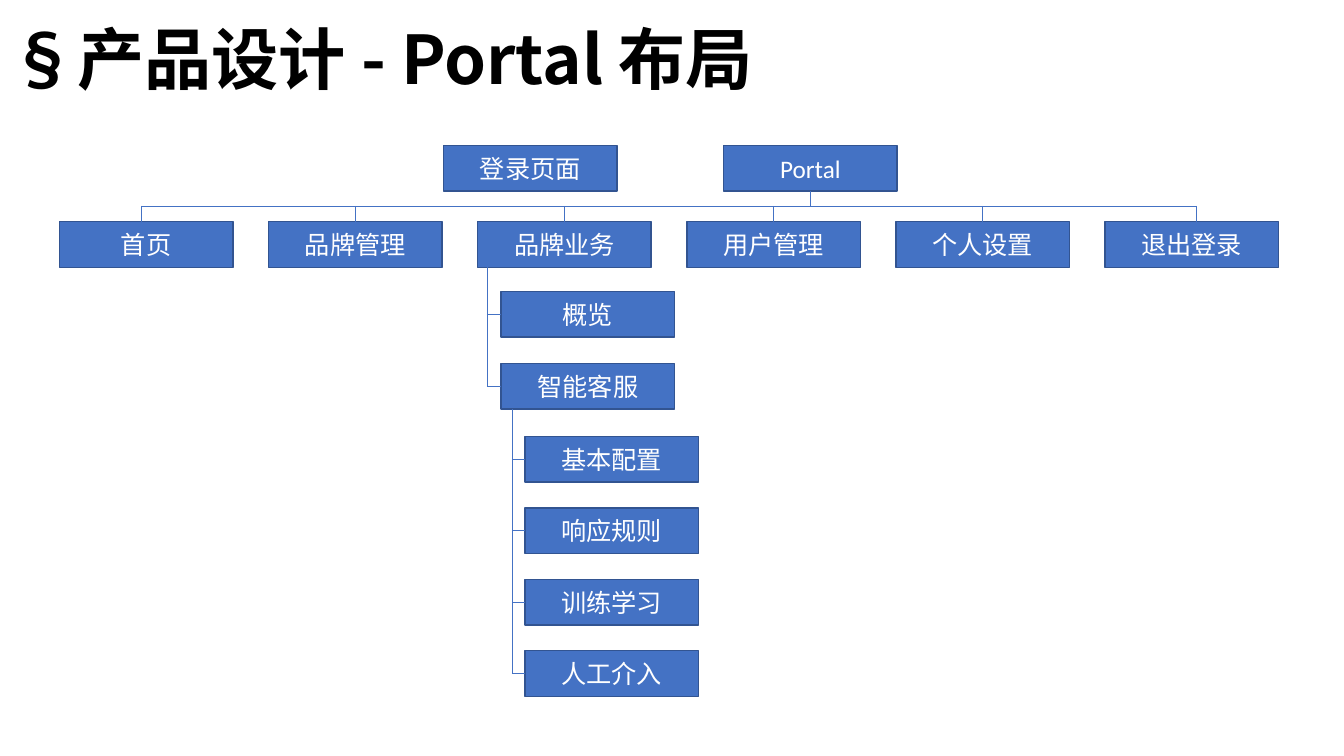
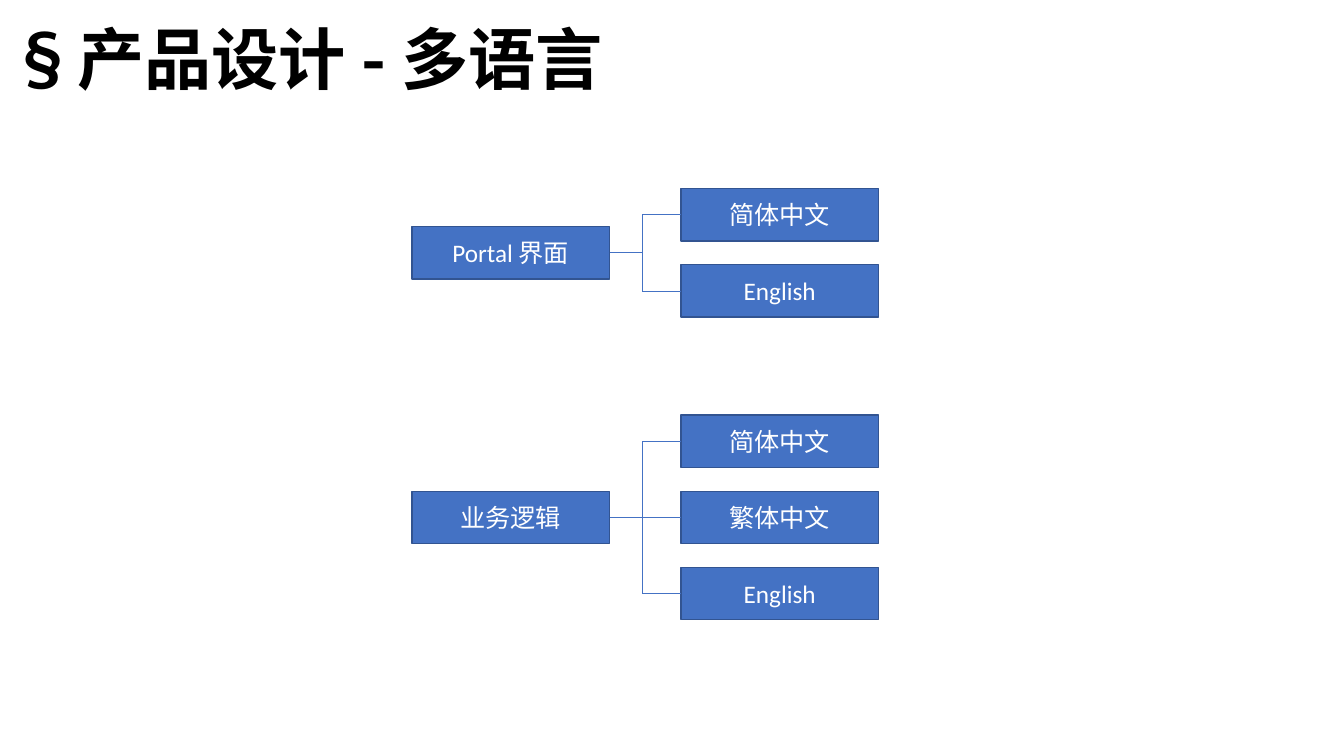
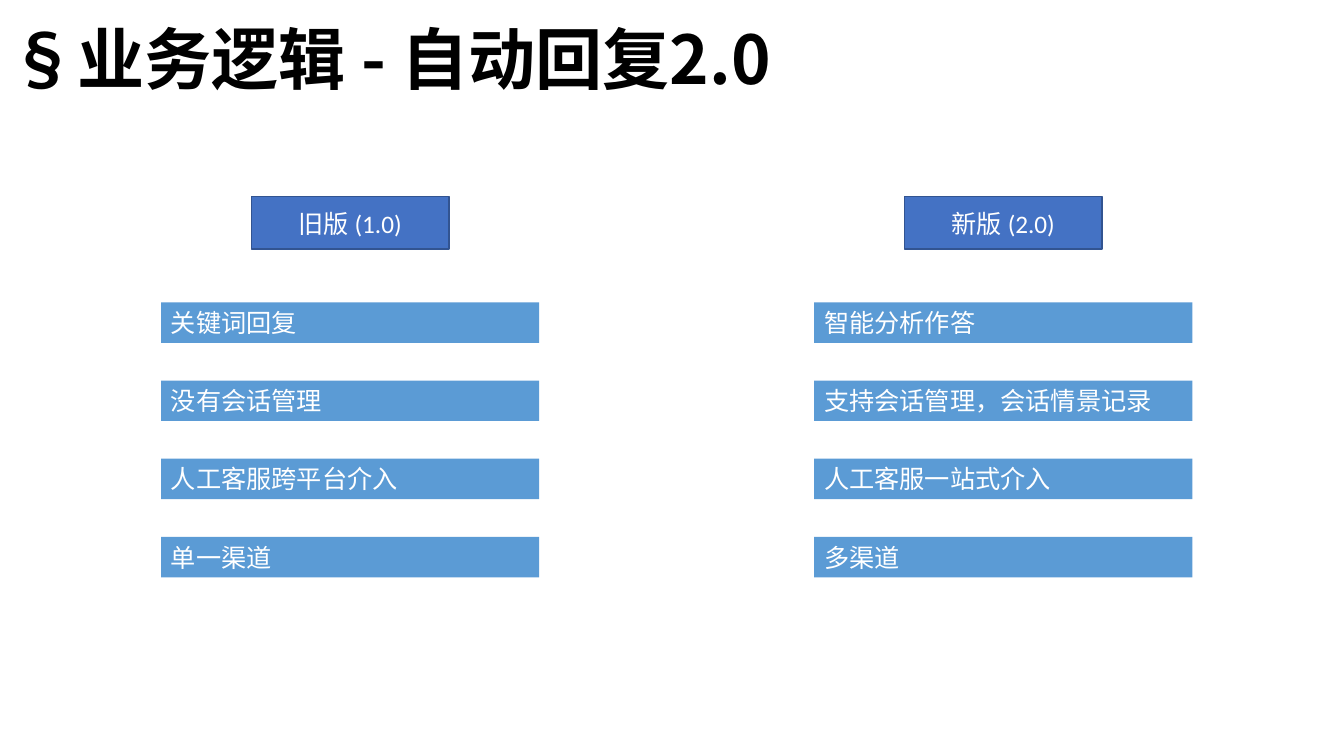
from dataclasses import dataclass

from lxml.etree import SubElement
from pptx import Presentation
from pptx.dml.color import RGBColor
from pptx.enum.shapes import MSO_CONNECTOR, MSO_SHAPE
from pptx.enum.text import MSO_ANCHOR, PP_ALIGN
from pptx.oxml.ns import qn
from pptx.slide import Slide
from pptx.text.text import TextFrame
from pptx.util import Cm, Pt

COLORS = {
    "title": "000000",
    "node": "4472C4",
    "border": "325491",
    "bar": "5B9BD5",
    "text": "FFFFFF",
}
TITLE_FONT = "Noto Sans CJK SC"
BODY_FONT = "Calibri"


@dataclass(frozen=True)
class Size:
    width: float
    height: float


@dataclass(frozen=True)
class Box:
    """A labelled rectangle, measured in centimetres."""
    text: str
    left: float
    top: float
    size: Size

    @property
    def right(self) -> float:
        return self.left + self.size.width

    @property
    def bottom(self) -> float:
        return self.top + self.size.height

    @property
    def center(self) -> float:
        return self.left + self.size.width / 2

    @property
    def middle(self) -> float:
        return self.top + self.size.height / 2


@dataclass(frozen=True)
class LanguageGroup:
    parent: str
    languages: tuple[str, ...]
    top: float


@dataclass(frozen=True)
class Version:
    name: str
    left: float
    features: tuple[str, ...]


PAGE_NODE = Size(4.37, 1.15)
LARGE_NODE = Size(4.98, 1.32)
FEATURE_BAR = Size(9.53, 1.02)

MENU = ("首页", "品牌管理", "品牌业务", "用户管理", "个人设置", "退出登录")
BUSINESS_PAGES = ("概览", "智能客服")
SERVICE_PAGES = ("基本配置", "响应规则", "训练学习", "人工介入")
LANGUAGE_GROUPS = (
    LanguageGroup("Portal 界面", ("简体中文", "English"), 4.75),
    LanguageGroup("业务逻辑", ("简体中文", "繁体中文", "English"), 10.46),
)
VERSIONS = (
    Version("旧版 (1.0)", 4.06,
            ("关键词回复", "没有会话管理", "人工客服跨平台介入", "单一渠道")),
    Version("新版 (2.0)", 20.52,
            ("智能分析作答", "支持会话管理，会话情景记录", "人工客服一站式介入", "多渠道")),
)


def color(name: str) -> RGBColor:
    return RGBColor.from_string(COLORS[name])


def write(frame: TextFrame, text: str, font_name: str, points: float,
          color_name: str, alignment: PP_ALIGN, bold: bool = False) -> None:
    frame.word_wrap = True
    paragraph = frame.paragraphs[0]
    paragraph.alignment = alignment
    run = paragraph.add_run()
    run.text = text
    run.font.size = Pt(points)
    run.font.bold = bold
    run.font.color.rgb = color(color_name)
    run.font.name = font_name
    SubElement(run.font._element, qn("a:ea"), typeface=font_name)


def add_titled_slide(presentation, title: str) -> Slide:
    slide = presentation.slides.add_slide(presentation.slide_layouts[6])
    title_box = slide.shapes.add_textbox(Cm(0), Cm(0.3), Cm(27.76), Cm(2.31))
    write(title_box.text_frame, title, TITLE_FONT, 48, "title", PP_ALIGN.LEFT, bold=True)
    return slide


def add_rectangle(slide: Slide, box: Box, fill_name: str):
    shape = slide.shapes.add_shape(
        MSO_SHAPE.RECTANGLE, Cm(box.left), Cm(box.top),
        Cm(box.size.width), Cm(box.size.height))
    shape.shadow.inherit = False
    shape.fill.solid()
    shape.fill.fore_color.rgb = color(fill_name)
    return shape


def add_node(slide: Slide, box: Box) -> None:
    shape = add_rectangle(slide, box, "node")
    shape.line.color.rgb = color("border")
    shape.line.width = Pt(1)
    shape.text_frame.vertical_anchor = MSO_ANCHOR.MIDDLE
    write(shape.text_frame, box.text, BODY_FONT, 18, "text", PP_ALIGN.CENTER)


def add_bar(slide: Slide, box: Box) -> None:
    shape = add_rectangle(slide, box, "bar")
    shape.line.fill.background()
    shape.text_frame.vertical_anchor = MSO_ANCHOR.TOP
    write(shape.text_frame, box.text, BODY_FONT, 18, "text", PP_ALIGN.LEFT)


def add_line(slide: Slide, x1: float, y1: float, x2: float, y2: float) -> None:
    line = slide.shapes.add_connector(
        MSO_CONNECTOR.STRAIGHT, Cm(x1), Cm(y1), Cm(x2), Cm(y2))
    line.line.color.rgb = color("node")
    line.line.width = Pt(0.5)
    SubElement(line._element.spPr, qn("a:effectLst"))


def stack(texts: tuple[str, ...], left: float, top: float, step: float,
          size: Size) -> list[Box]:
    """Place boxes below one another at an equal step."""
    return [Box(text, left, top + index * step, size) for index, text in enumerate(texts)]


def add_branch(slide: Slide, spine: float, start: float, children: list[Box]) -> None:
    """Draw child nodes and the vertical spine that joins them."""
    add_line(slide, spine, start, spine, children[-1].middle)
    for child in children:
        add_node(slide, child)
        add_line(slide, spine, child.middle, child.left, child.middle)


def build_layout_slide(presentation) -> None:
    slide = add_titled_slide(presentation, "§产品设计 - Portal 布局")
    login = Box("登录页面", 11.18, 3.66, PAGE_NODE)
    portal = Box("Portal", 18.24, 3.66, PAGE_NODE)
    menu = [Box(text, 1.5 + index * 5.27, 5.59, PAGE_NODE)
            for index, text in enumerate(MENU)]
    for box in (login, portal, *menu):
        add_node(slide, box)

    rail = 5.19
    drops = [3.56, *(box.center for box in menu[1:-1]), 30.15]
    add_line(slide, drops[0], rail, drops[-1], rail)
    add_line(slide, portal.center, portal.bottom, portal.center, rail)
    for drop in drops:
        add_line(slide, drop, rail, drop, menu[0].top)

    business_pages = stack(BUSINESS_PAGES, 12.63, 7.34, 1.82, PAGE_NODE)
    service_pages = stack(SERVICE_PAGES, 13.23, 11, 1.8, PAGE_NODE)
    add_branch(slide, 12.27, menu[2].bottom, business_pages)
    add_branch(slide, 12.9, business_pages[-1].bottom, service_pages)


def build_language_slide(presentation) -> None:
    slide = add_titled_slide(presentation, "§产品设计 - 多语言")
    spine = 16.18
    for group in LANGUAGE_GROUPS:
        children = stack(group.languages, 17.16, group.top, 1.92, LARGE_NODE)
        parent_top = (children[0].top + children[-1].top) / 2
        parent = Box(group.parent, 10.38, parent_top, LARGE_NODE)
        add_node(slide, parent)
        add_line(slide, parent.right, parent.middle, spine, parent.middle)
        add_branch(slide, spine, children[0].middle, children)


def build_reply_slide(presentation) -> None:
    slide = add_titled_slide(presentation, "§业务逻辑 - 自动回复2.0")
    indent = (FEATURE_BAR.width - LARGE_NODE.width) / 2
    for version in VERSIONS:
        add_node(slide, Box(version.name, version.left + indent, 4.96, LARGE_NODE))
        for bar in stack(version.features, version.left, 7.62, 1.97, FEATURE_BAR):
            add_bar(slide, bar)


def main() -> None:
    presentation = Presentation()
    presentation.slide_width = Cm(33.87)
    presentation.slide_height = Cm(19.05)
    build_layout_slide(presentation)
    build_language_slide(presentation)
    build_reply_slide(presentation)
    presentation.save("out.pptx")


if __name__ == "__main__":
    main()
